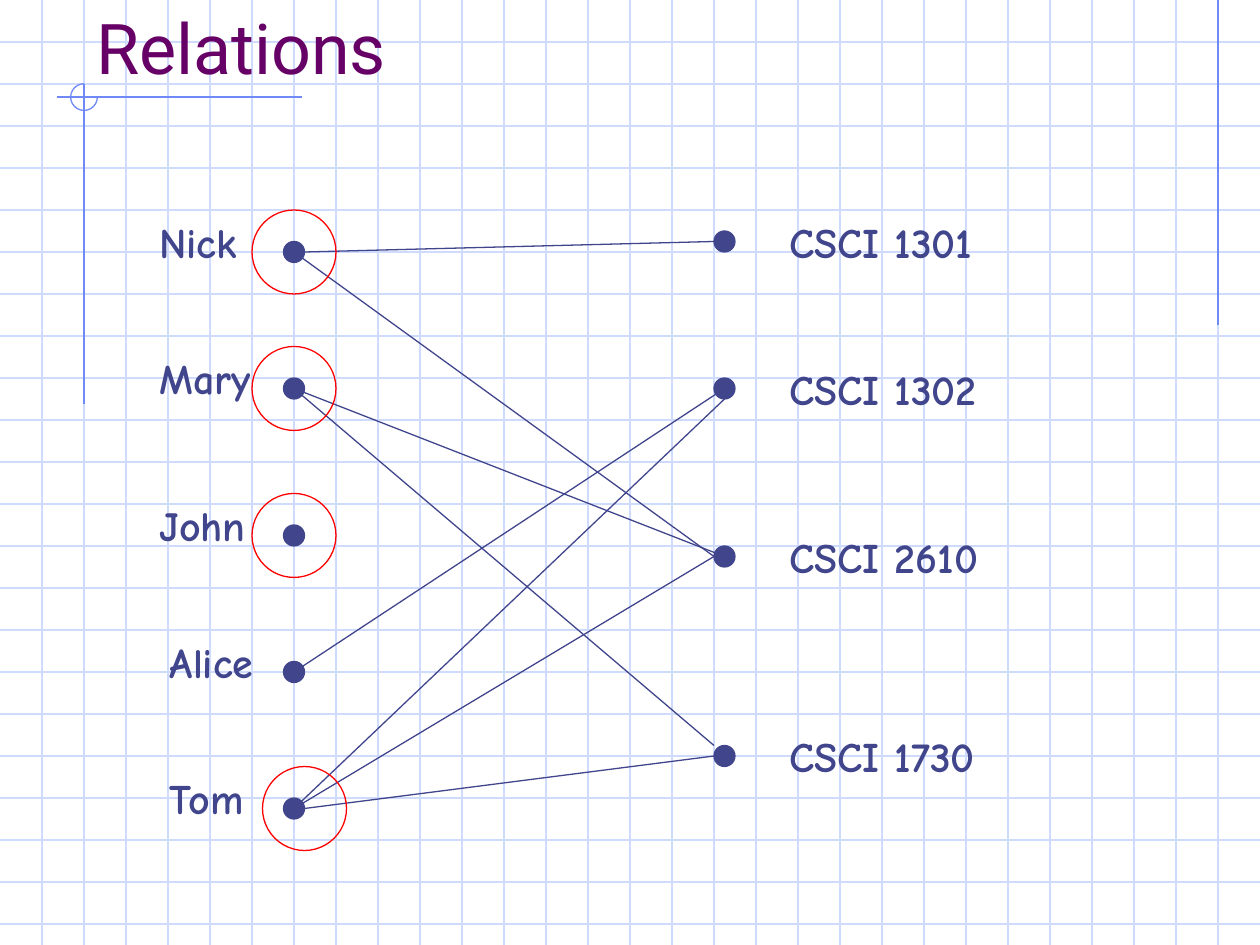
from lxml import etree
from pptx import Presentation
from pptx.dml.color import RGBColor
from pptx.enum.shapes import MSO_CONNECTOR, MSO_SHAPE
from pptx.enum.text import MSO_ANCHOR
from pptx.oxml.ns import qn
from pptx.util import Inches, Pt

STRAIGHT = MSO_CONNECTOR.STRAIGHT
OVAL = MSO_SHAPE.OVAL
ARC = MSO_SHAPE.ARC
TOP = MSO_ANCHOR.TOP
BOTTOM = MSO_ANCHOR.BOTTOM

COLUMNS, ROWS, CELL = 120, 90, 4
GRID, ACCENT, INK, RED, PURPLE = "CFDBFD", "6F89F7", "40458C", "FF0000", "660066"

STUDENT_COLUMN, COURSE_COLUMN = 28, 69
STUDENTS = {"Nick": (24, 14), "Mary": (37, 14), "John": (51, 14), "Alice": (64, 15), "Tom": (77, 15)}
COURSES = {"CSCI 1301": 23, "CSCI 1302": 37, "CSCI 2610": 53, "CSCI 1730": 72}
RINGS = {"Tom": 29, "John": 28, "Mary": 28, "Nick": 28}
RELATIONS = [
    ("Nick", 1, "CSCI 1301", -1, 0),
    ("Nick", 0, "CSCI 2610", -1, 0),
    ("Mary", 0, "CSCI 2610", 0, 0),
    ("Mary", 0, "CSCI 1730", -1, -1),
    ("Alice", 0, "CSCI 1302", 0, 0),
    ("Tom", 0, "CSCI 2610", -1, 0),
    ("Tom", 0, "CSCI 1302", 0, 1),
    ("Tom", 1, "CSCI 1730", -1, 0),
]


def units(count):
    return Inches(count / 12)


def color(hex_string):
    return RGBColor.from_string(hex_string)


def set_line(item, hex_string):
    item.line.color.rgb = color(hex_string)
    item.line.width = Pt(0.75)


def add_line(slide, x1, y1, x2, y2, hex_string):
    connector = slide.shapes.add_connector(STRAIGHT, units(x1), units(y1), units(x2), units(y2))
    set_line(connector, hex_string)
    etree.SubElement(connector._element.spPr, qn("a:effectLst"))


def add_round(slide, x, y, radius, line, fill=None, kind=OVAL):
    shape = slide.shapes.add_shape(
        kind, units(x - radius), units(y - radius), units(2 * radius), units(2 * radius))
    shape.shadow.inherit = False
    set_line(shape, line)
    if fill:
        shape.fill.solid()
        shape.fill.fore_color.rgb = color(fill)
    else:
        shape.fill.background()
    return shape


def add_text(slide, text, x, y, width, height, size, font, hex_string, bold=False, anchor=TOP):
    box = slide.shapes.add_textbox(units(x), units(y), units(width), units(height))
    frame = box.text_frame
    frame.word_wrap = True
    frame.vertical_anchor = anchor
    paragraph = frame.paragraphs[0]
    paragraph.text = text
    paragraph.font.size = Pt(size)
    paragraph.font.name = font
    paragraph.font.bold = bold
    paragraph.font.color.rgb = color(hex_string)


def add_label(slide, text, x, y):
    add_text(slide, text, x, y, 30, 6, 24, "Comic Neue", INK, bold=True)


def add_background(slide):
    for y in range(CELL, ROWS, CELL):
        add_line(slide, 0, y, COLUMNS, y, GRID)
    for x in range(CELL, COLUMNS, CELL):
        add_line(slide, x, 0, x, ROWS, GRID)
    add_line(slide, 116, 0, 116, 31, ACCENT)
    add_line(slide, 28.8, 9.25, 5.4, 9.25, ACCENT)
    add_line(slide, 8, 8, 8, 38.5, ACCENT)
    arc = add_round(slide, 8, 9.25, 1.27, ACCENT, kind=ARC)
    arc.adjustments[0] = 0
    arc.adjustments[1] = 162


def add_relations(slide):
    for course, y in COURSES.items():
        add_label(slide, course, 74, y - 3)
        add_round(slide, COURSE_COLUMN, y, 1, INK, INK)
    for student, (y, label_x) in STUDENTS.items():
        add_label(slide, student, label_x, y - 4)
        add_round(slide, STUDENT_COLUMN, y, 1, INK, INK)
    for student, start_dx, course, end_dx, end_dy in RELATIONS:
        add_line(slide, STUDENT_COLUMN + start_dx, STUDENTS[student][0],
                 COURSE_COLUMN + end_dx, COURSES[course] + end_dy, INK)
    for student, x in RINGS.items():
        add_round(slide, x, STUDENTS[student][0], 4, RED)


def main():
    presentation = Presentation()
    presentation.slide_width = units(COLUMNS)
    presentation.slide_height = units(ROWS)
    slide = presentation.slides.add_slide(presentation.slide_layouts[6])
    add_background(slide)
    add_text(slide, "Relations", 8, 1, 108, 8, 40, "Roboto", PURPLE, anchor=BOTTOM)
    add_relations(slide)
    presentation.save("out.pptx")


if __name__ == "__main__":
    main()
